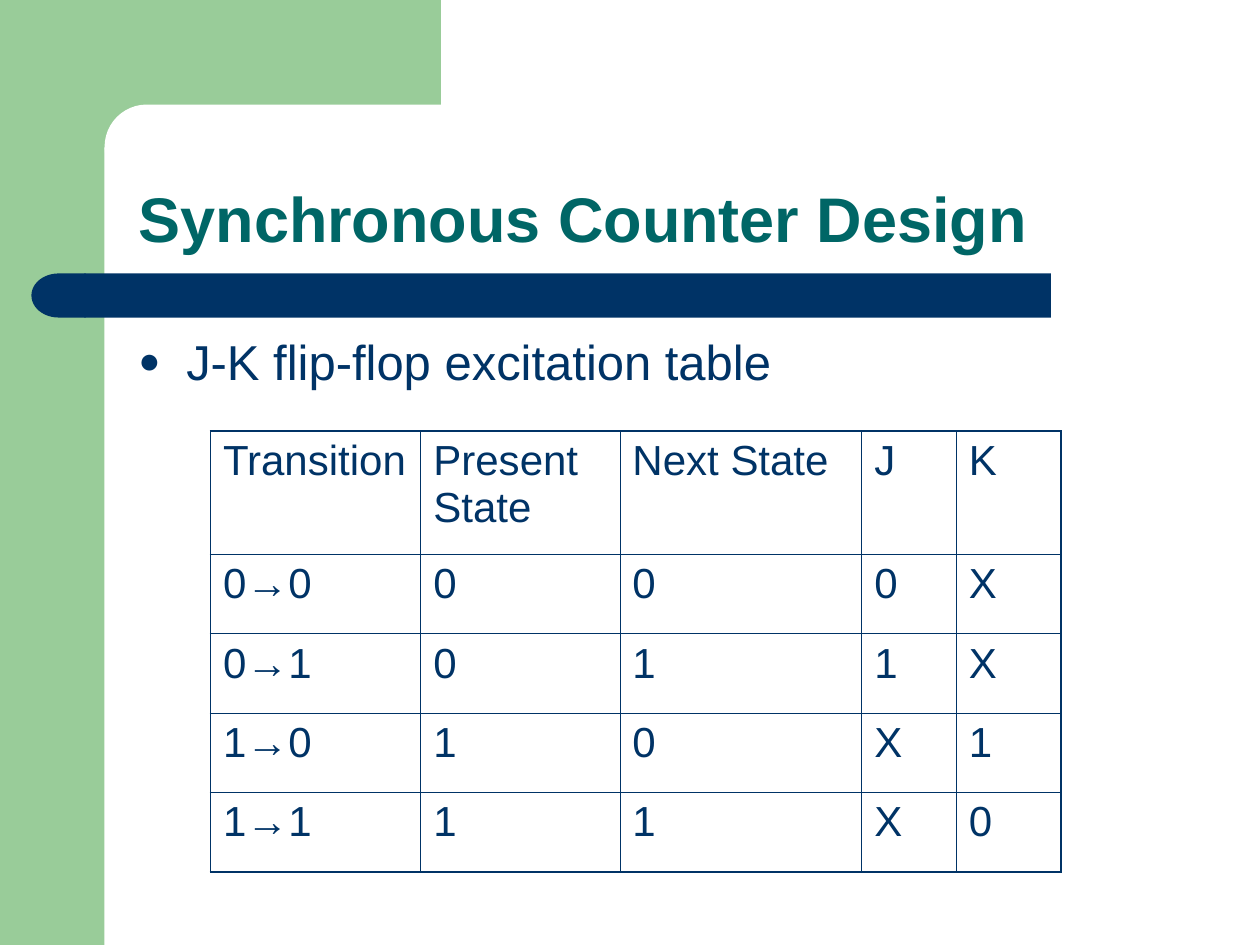
from dataclasses import dataclass

from lxml.etree import SubElement
from pptx import Presentation
from pptx.dml.color import RGBColor
from pptx.enum.shapes import MSO_SHAPE
from pptx.enum.text import MSO_ANCHOR, MSO_AUTO_SIZE, PP_ALIGN
from pptx.oxml.ns import qn
from pptx.util import Inches, Pt


@dataclass(frozen=True)
class Theme:
    font: str = "Arial"
    green: str = "99CC99"
    white: str = "FFFFFF"
    navy: str = "003366"
    teal: str = "006666"
    title_size: int = 36
    body_size: int = 28
    table_size: int = 24
    outer_border: float = 1.08
    inner_border: float = 0.45


class SlideBuilder:
    def __init__(self, slide, theme):
        self.slide = slide
        self.theme = theme

    def format_text(self, paragraph, size, color, bold=False):
        paragraph.alignment = PP_ALIGN.LEFT
        for run in paragraph.runs:
            run.font.name = self.theme.font
            run.font.size = Pt(size)
            run.font.bold = bold
            run.font.color.rgb = RGBColor.from_string(color)

    def add_block(self, kind, box, color, corner=None, flipped=False):
        shape = self.slide.shapes.add_shape(kind, *map(Inches, box))
        shape.shadow.inherit = False
        shape.fill.solid()
        shape.fill.fore_color.rgb = RGBColor.from_string(color)
        shape.line.fill.background()
        if corner is not None:
            shape.adjustments[0] = corner
        if flipped:
            shape.element.spPr.find(qn("a:xfrm")).set("flipH", "1")

    def add_title(self, text, box):
        title = self.slide.shapes.title
        title.left, title.top, title.width, title.height = map(Inches, box)
        title.element.getparent().append(title.element)
        frame = title.text_frame
        frame.text = text
        frame.auto_size = MSO_AUTO_SIZE.NONE
        frame.vertical_anchor = MSO_ANCHOR.BOTTOM
        paragraph = frame.paragraphs[0]
        paragraph.line_spacing = 0.9
        self.format_text(paragraph, self.theme.title_size, self.theme.teal, True)

    def add_bullet(self, text, box):
        frame = self.slide.shapes.add_textbox(*map(Inches, box)).text_frame
        frame.word_wrap = True
        frame.text = text
        paragraph = frame.paragraphs[0]
        paragraph.space_before = Pt(7)
        self.format_text(paragraph, self.theme.body_size, self.theme.navy)
        properties = paragraph._p.get_or_add_pPr()
        properties.set("marL", str(Inches(0.38)))
        properties.set("indent", str(Inches(-0.38)))
        color = SubElement(properties, qn("a:buClr"))
        SubElement(color, qn("a:srgbClr"), val=self.theme.navy)
        SubElement(properties, qn("a:buSzPct"), val="75000")
        SubElement(properties, qn("a:buFont"), typeface=self.theme.font)
        SubElement(properties, qn("a:buChar"), char="●")

    def set_borders(self, cell, outer_sides):
        properties = cell._tc.get_or_add_tcPr()
        for side, is_outer in outer_sides.items():
            width = self.theme.outer_border if is_outer else self.theme.inner_border
            line = SubElement(properties, qn(f"a:ln{side}"), w=str(Pt(width)))
            fill = SubElement(line, qn("a:solidFill"))
            SubElement(fill, qn("a:srgbClr"), val=self.theme.navy)

    def add_table(self, rows, box, widths, heights):
        table = self.slide.shapes.add_table(
            len(rows), len(widths), *map(Inches, box)
        ).table
        table.first_row = False
        table.horz_banding = False
        for column, width in zip(table.columns, widths):
            column.width = Inches(width)
        last_row, last_column = len(rows) - 1, len(widths) - 1
        for row_index, values in enumerate(rows):
            table.rows[row_index].height = Inches(heights[row_index])
            for column_index, value in enumerate(values):
                cell = table.cell(row_index, column_index)
                cell.text_frame.text = value
                paragraph = cell.text_frame.paragraphs[0]
                paragraph.space_before = Pt(6)
                self.format_text(paragraph, self.theme.table_size, self.theme.navy)
                self.set_borders(cell, {
                    "L": column_index == 0,
                    "R": column_index == last_column,
                    "T": row_index == 0,
                    "B": row_index == last_row,
                })
                cell.fill.background()


def main():
    presentation = Presentation()
    presentation.slide_width = Inches(10)
    presentation.slide_height = Inches(7.5)
    theme = Theme()
    slide = presentation.slides.add_slide(presentation.slide_layouts[5])
    builder = SlideBuilder(slide, theme)

    builder.add_block(MSO_SHAPE.RECTANGLE, (0, 0, 0.83, 7.5), theme.green)
    builder.add_block(MSO_SHAPE.RECTANGLE, (0.75, 0, 2.75, 1.17), theme.green)
    builder.add_block(
        MSO_SHAPE.ROUNDED_RECTANGLE, (0.83, 0.83, 5.58, 0.67), theme.white, corner=0.5
    )
    builder.add_block(
        MSO_SHAPE.ROUNDED_RECTANGLE, (0.67, 2.17, 7.67, 0.35), theme.navy, corner=0
    )
    builder.add_block(
        MSO_SHAPE.FLOWCHART_DELAY, (0.25, 2.17, 0.43, 0.35), theme.navy, flipped=True
    )

    builder.add_title("Synchronous Counter Design", (1, 0.83, 8.75, 1.25))
    builder.add_bullet("J-K flip-flop excitation table", (1, 2.58, 8.75, 4.08))
    builder.add_table(
        [
            ("Transition", "Present State", "Next State", "J", "K"),
            ("0→0", "0", "0", "0", "X"),
            ("0→1", "0", "1", "1", "X"),
            ("1→0", "1", "0", "X", "1"),
            ("1→1", "1", "1", "X", "0"),
        ],
        box=(1.67, 3.42, 6.75, 3.5),
        widths=(1.67, 1.58, 1.92, 0.75, 0.83),
        heights=(0.98,) + (0.63,) * 4,
    )
    presentation.save("out.pptx")


if __name__ == "__main__":
    main()
